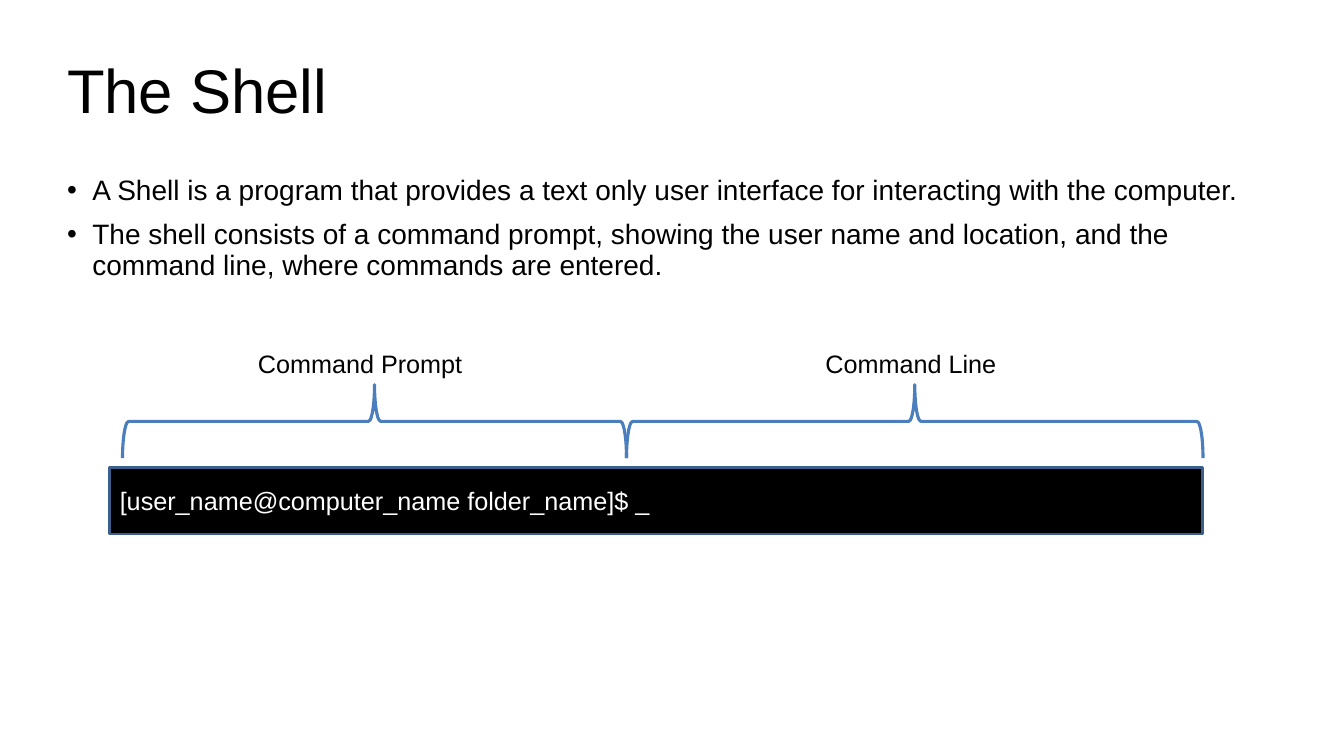
from dataclasses import dataclass
from typing import Any

from lxml.etree import SubElement as Sub
from pptx import Presentation
from pptx.dml.color import RGBColor as Rgb
from pptx.enum.shapes import MSO_SHAPE as Kind
from pptx.enum.text import MSO_ANCHOR as Anchor
from pptx.enum.text import MSO_AUTO_SIZE as Fit
from pptx.enum.text import PP_ALIGN as Align
from pptx.oxml.ns import qn
from pptx.util import Pt


@dataclass(frozen=True)
class Theme:
    font: str = "Arial"
    black: Rgb = Rgb(0x00, 0x00, 0x00)
    white: Rgb = Rgb(0xFF, 0xFF, 0xFF)
    edge: Rgb = Rgb(0x3A, 0x5F, 0x8C)
    brace: Rgb = Rgb(0x4B, 0x7E, 0xBC)
    title: int = 44
    body: int = 20
    label: int = 18


@dataclass(frozen=True)
class Part:
    """A stretch of the shell line with its brace and label."""
    name: str
    start: float
    end: float
    left: float
    width: float
    wrap: bool


THEME = Theme()
POINTS = (
    "A Shell is a program that provides a text only user interface for "
    "interacting with the computer.",
    "The shell consists of a command prompt, showing the user name and "
    "location, and the command line, where commands are entered.",
)
SPLIT = 447.5
PARTS = (
    Part("Command Prompt", 87.5, SPLIT, 177.1, 162, False),
    Part("Command Line", SPLIT, 859.3, 582.5, 140.4, True),
)
MID, DEPTH = 301, 52.5  # centre line and depth of the braces
LABEL_TOP = 245.5


def write(frame: Any, *lines: str, size: int, color: Rgb = THEME.black,
          anchor: Anchor = Anchor.TOP, inset: bool = True, wrap: bool = True,
          space: float = 1, gap: float = 0, bullet: bool = False) -> None:
    """Fill a text frame, one paragraph for each line."""
    frame.word_wrap = wrap
    frame.vertical_anchor = anchor
    if not inset:
        frame.margin_left = frame.margin_right = Pt(0)
        frame.margin_top = frame.margin_bottom = Pt(0)
    for i, line in enumerate(lines):
        para = frame.add_paragraph() if i else frame.paragraphs[0]
        para.alignment = Align.LEFT
        para.line_spacing = space
        para.space_before = Pt(gap if i else 0)
        if bullet:
            props = para._p.get_or_add_pPr()
            props.set("marL", str(Pt(18)))
            props.set("indent", str(Pt(-18)))
            Sub(props, qn("a:buFont")).set("typeface", THEME.font)
            Sub(props, qn("a:buChar")).set("char", "•")
        run = para.add_run()
        run.text = line
        run.font.name = THEME.font
        run.font.size = Pt(size)
        run.font.color.rgb = color


def add_box(slide: Any, left: float, top: float, width: float,
            height: float) -> Any:
    box = slide.shapes.add_textbox(Pt(left), Pt(top), Pt(width), Pt(height))
    return box.text_frame


def add_form(slide: Any, kind: Kind, left: float, top: float, width: float,
             height: float, line: Rgb, weight: float) -> Any:
    form = slide.shapes.add_shape(
        kind, Pt(left), Pt(top), Pt(width), Pt(height))
    form.shadow.inherit = False
    form.line.color.rgb = line
    form.line.width = Pt(weight)
    return form


def add_part(slide: Any, part: Part) -> None:
    # A left brace turned upright, centred over its stretch
    span = part.end - part.start
    centre = (part.start + part.end) / 2
    brace = add_form(slide, Kind.LEFT_BRACE, centre - DEPTH / 2,
                     MID - span / 2, DEPTH, span, THEME.brace, 2.25)
    brace.rotation = 90
    brace.fill.background()

    # Its label
    frame = add_box(slide, part.left, LABEL_TOP, part.width, 28.8)
    write(frame, part.name, size=THEME.label, wrap=part.wrap)
    frame.auto_size = Fit.SHAPE_TO_FIT_TEXT


def main() -> None:
    deck = Presentation()
    deck.slide_width, deck.slide_height = Pt(960), Pt(540)
    slide = deck.slides.add_slide(deck.slide_layouts[6])

    # Title and bullets
    write(add_box(slide, 48, 21.6, 864, 90), "The Shell", size=THEME.title,
          anchor=Anchor.MIDDLE, inset=False, space=0.9)
    write(add_box(slide, 48, 126, 864, 132.5), *POINTS, size=THEME.body,
          inset=False, space=0.9, gap=10, bullet=True)

    # Shell line
    shell = add_form(slide, Kind.RECTANGLE, 78.5, 334, 780.5, 47.5,
                     THEME.edge, 2)
    shell.fill.solid()
    shell.fill.fore_color.rgb = THEME.black
    write(shell.text_frame, "[user_name@computer_name folder_name]$ _",
          size=THEME.label, color=THEME.white, anchor=Anchor.MIDDLE)

    # Braces and labels
    for part in PARTS:
        add_part(slide, part)

    deck.save("out.pptx")


if __name__ == "__main__":
    main()
